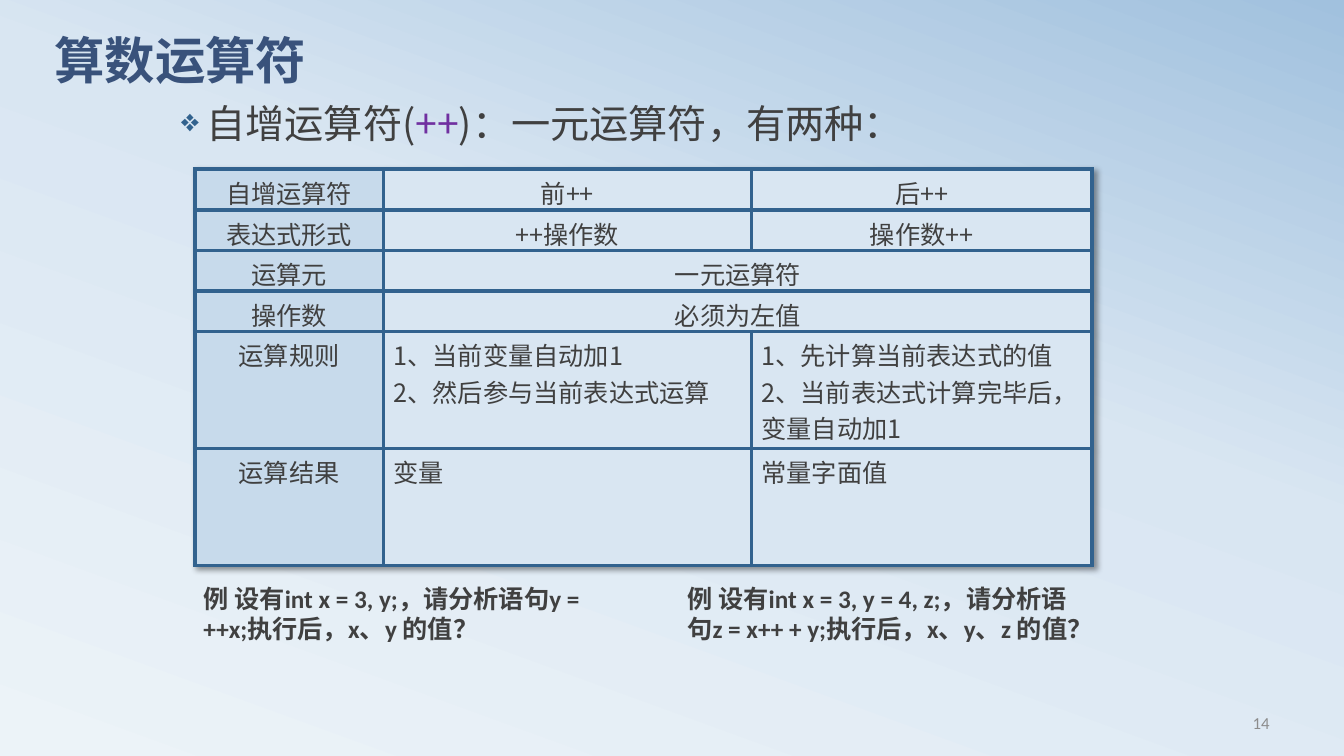
"""Build the slide on the increment operator."""
from copy import deepcopy
from dataclasses import dataclass

from pptx import Presentation
from pptx import util as u
from pptx.dml.color import RGBColor
from pptx.enum import text
from pptx.oxml import parse_xml
from pptx.oxml.ns import nsdecls, qn

WIDTH, HEIGHT = u.Inches(13.33), u.Inches(7.5)
CJK, LATIN = "Noto Sans CJK SC", "Calibri"
INK, BLUE, HEAD, BODY = "404040", "32628E", "C7DAEB", "D9E6F2"
CENTER, RIGHT = text.PP_ALIGN.CENTER, text.PP_ALIGN.RIGHT
COLUMNS = (14.03, 27.38, 25.36)
ROWS = (5.37,) * 4 + (15.47,) * 2


@dataclass
class Style:
    size: float
    font: str = CJK
    color: str = INK
    bold: bool = False


@dataclass
class Label:
    left: float
    top: float
    width: float
    height: float
    runs: list[tuple[str, Style]]
    align: text.PP_ALIGN | None = None
    spacing: float | None = None
    anchor: text.MSO_ANCHOR = text.MSO_ANCHOR.TOP
    bullet: str = ""


TITLE = Style(36, LATIN, "39527B", True)
LEAD = Style(28)
PLUS = Style(28, color="7030A0")
NOTE = Style(18, LATIN, bold=True)
CELL = Style(18)
NUMBER = Style(12, LATIN, "8C8C8C")

LABELS = [
    Label(71.87, 92.9, 23.33, 5.3, [("14", NUMBER)], RIGHT,
          anchor=text.MSO_ANCHOR.MIDDLE),
    Label(3.3, 4.8, 90, 12.5, [("算数运算符", TITLE)], spacing=0.8),
    Label(12.75, 13.2, 67.5, 8.4,
          [("自增运算符(", LEAD), ("++", PLUS), (")：一元运算符，有两种：", LEAD)],
          spacing=0.9, bullet="❖"),
    Label(14.4, 76.5, 30.15, 9.5,
          [("例 设有int x = 3, y;，请分析语句y = ++x;执行后，x、y 的值？", NOTE)]),
    Label(50.4, 76.5, 31.5, 13.5,
          [("例 设有int x = 3, y = 4, z;，请分析语句z = x++ + y;执行后，x、y、z 的值？", NOTE)]),
]

CONTENT = [
    ("自增运算符", "前++", "后++"),
    ("表达式形式", "++操作数", "操作数++"),
    ("运算元", "一元运算符"),
    ("操作数", "必须为左值"),
    ("运算规则", "1、当前变量自动加1\n2、然后参与当前表达式运算",
     "1、先计算当前表达式的值\n2、当前表达式计算完毕后，变量自动加1"),
    ("运算结果", "变量", "常量字面值"),
]


def rgb(color: str) -> RGBColor:
    """Turn a hex string into a colour."""
    return RGBColor.from_string(color)


def across(share: float) -> u.Emu:
    """Give a percentage of the slide's width."""
    return u.Emu(round(WIDTH * share / 100))


def down(share: float) -> u.Emu:
    """Give a percentage of the slide's height."""
    return u.Emu(round(HEIGHT * share / 100))


def add_span(para, words: str, style: Style) -> None:
    """Add one styled run."""
    span = para.add_run()
    span.text = words
    font = span.font
    font.size, font.name, font.bold = u.Pt(style.size), style.font, style.bold
    font.color.rgb = rgb(style.color)
    east = parse_xml(f'<a:ea {nsdecls("a")} typeface="{style.font}"/>')
    font._element.find(qn("a:latin")).addnext(east)


def add_bullet(para, sign: str) -> None:
    """Give a paragraph a hanging coloured bullet."""
    props = para._p.get_or_add_pPr()
    props.set("marL", str(u.Inches(0.25)))
    props.set("indent", str(-u.Inches(0.25)))
    for part in (f'<a:buClr {nsdecls("a")}><a:srgbClr val="{BLUE}"/></a:buClr>',
                 f'<a:buSzPct {nsdecls("a")} val="80000"/>',
                 f'<a:buChar {nsdecls("a")} char="{sign}"/>'):
        props.append(parse_xml(part))


def add_label(page, label: Label) -> None:
    """Draw one text box."""
    box = page.shapes.add_textbox(across(label.left), down(label.top),
                                  across(label.width), down(label.height))
    frame = box.text_frame
    frame.word_wrap = True
    frame.vertical_anchor = label.anchor
    para = frame.paragraphs[0]
    para.alignment = label.align
    para.line_spacing = label.spacing
    if label.bullet:
        add_bullet(para, label.bullet)
    for words, style in label.runs:
        add_span(para, words, style)


def style_cell(cell, color: str) -> None:
    """Set a cell's borders, fill and margin."""
    props = cell._tc.get_or_add_tcPr()
    for side in "LRTB":
        props.append(parse_xml(
            f'<a:ln{side} {nsdecls("a")} w="{u.Pt(3)}"><a:solidFill>'
            f'<a:srgbClr val="{BLUE}"/></a:solidFill></a:ln{side}>'))
    cell.fill.solid()
    cell.fill.fore_color.rgb = rgb(color)
    cell.margin_bottom = 0


def add_rules(page) -> None:
    """Draw the table that compares both operators."""
    table = page.shapes.add_table(
        len(ROWS), len(COLUMNS), across(14.5), down(22.4),
        across(sum(COLUMNS)), down(sum(ROWS))).table
    table.first_row = table.horz_banding = False
    table._tbl.tblPr.insert(0, parse_xml(
        f'<a:effectLst {nsdecls("a")}><a:outerShdw blurRad="50800" dist="38100" '
        'dir="2700000" algn="tl" rotWithShape="0"><a:srgbClr val="000000">'
        '<a:alpha val="40000"/></a:srgbClr></a:outerShdw></a:effectLst>'))
    for column, share in zip(table.columns, COLUMNS):
        column.width = across(share)
    for row, share in zip(table.rows, ROWS):
        row.height = down(share)
    for r, entries in enumerate(CONTENT):
        for c in range(len(COLUMNS)):
            style_cell(table.cell(r, c), BODY if c else HEAD)
        if len(entries) < len(COLUMNS):
            table.cell(r, 1).merge(table.cell(r, 2))
        for c, entry in enumerate(entries):
            frame = table.cell(r, c).text_frame
            for i, line in enumerate(entry.split("\n")):
                para = frame.add_paragraph() if i else frame.paragraphs[0]
                para.alignment = CENTER if c == 0 or r < 4 else None
                add_span(para, line, CELL)


def paint_background(page) -> None:
    """Fill the page with a three-stop gradient."""
    fill = page.background.fill
    fill.gradient()
    fill.gradient_angle = 70
    stops = page.element.find(f".//{qn('a:gsLst')}")
    stops.append(deepcopy(stops[-1]))
    shades = ((0, "ECF3F8"), (0.58, "D9E6F2"), (1, "A1C1DE"))
    for stop, (position, color) in zip(fill.gradient_stops, shades):
        stop.position = position
        stop.color.rgb = rgb(color)


def main() -> None:
    """Build and save the deck."""
    deck = Presentation()
    deck.slide_width, deck.slide_height = WIDTH, HEIGHT
    page = deck.slides.add_slide(deck.slide_layouts[6])
    paint_background(page)
    for label in LABELS:
        add_label(page, label)
    add_rules(page)
    deck.save("out.pptx")


if __name__ == "__main__":
    main()
